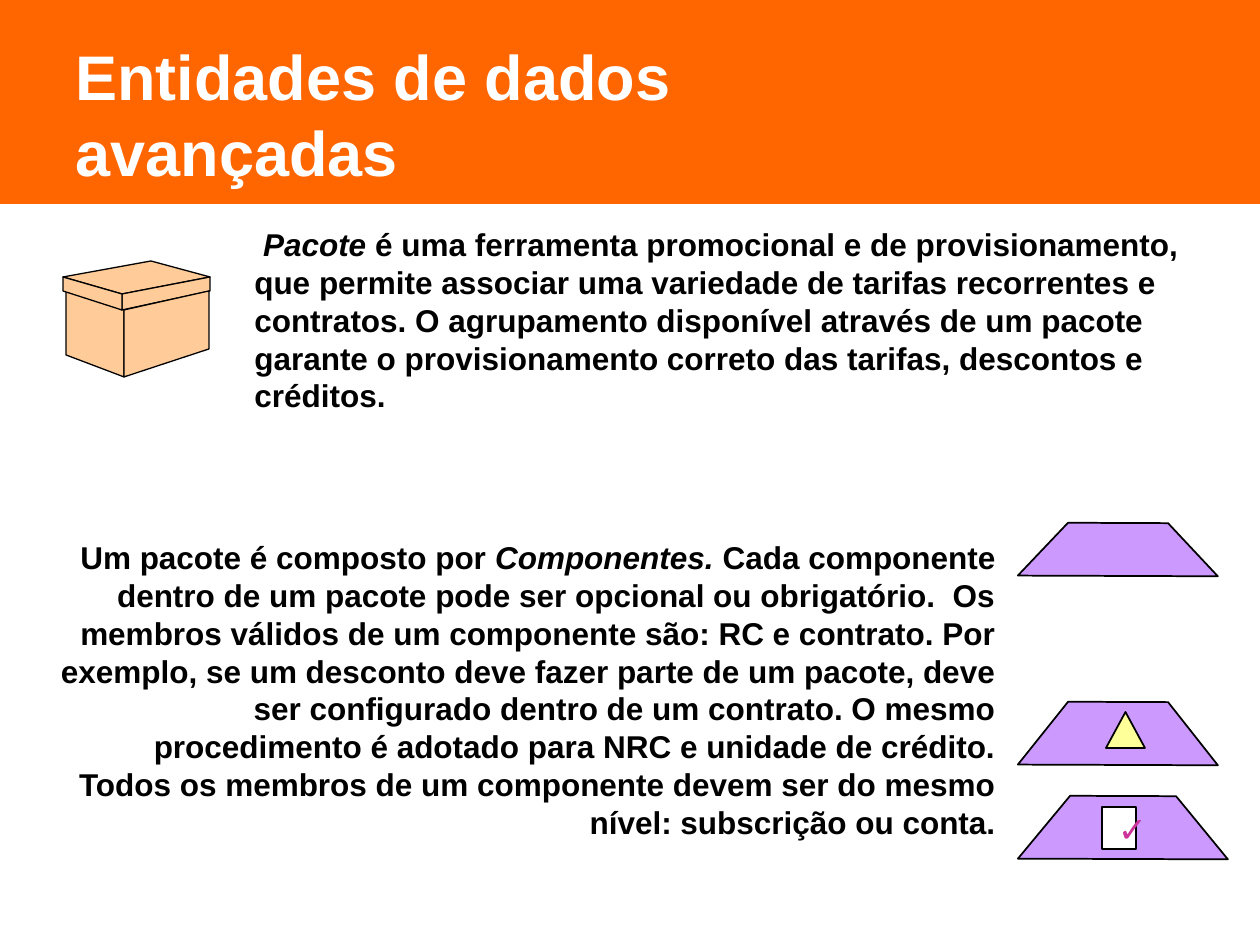
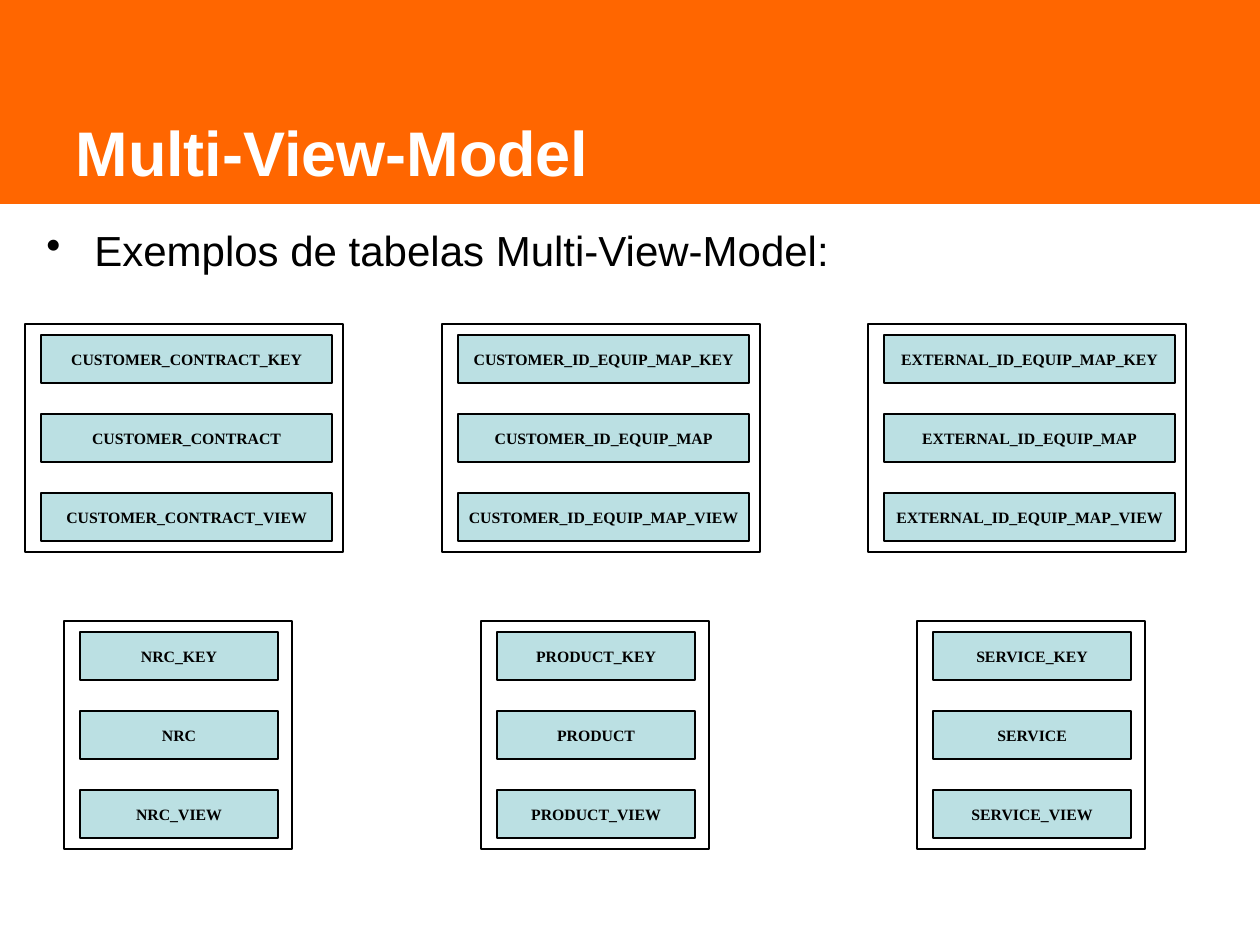
import pptx
import pptx.dml.color
import pptx.enum.shapes
import pptx.enum.text
import pptx.oxml
import pptx.oxml.ns
import pptx.util

SCALE = 914400 / 126
ORANGE, PEACH, LILAC, YELLOW = "FF6600", "FFCC99", "CC99FF", "FFFF99"
TEAL, PINK, BLACK, WHITE = "BBE0E3", "CC3399", "000000", "FFFFFF"
RECT = pptx.enum.shapes.MSO_SHAPE.RECTANGLE
PEAK = pptx.enum.shapes.MSO_SHAPE.ISOSCELES_TRIANGLE
ALIGN = pptx.enum.text.PP_ALIGN
ANCHOR = pptx.enum.text.MSO_ANCHOR
FIT = pptx.enum.text.MSO_AUTO_SIZE

TITLE = {"name": "Arial", "size": pptx.util.Pt(36), "bold": True}
BODY = {"name": "Arial", "size": pptx.util.Pt(18), "bold": True}
POINT = {"name": "Arial", "size": pptx.util.Pt(24), "bold": False}
CHECK = {"name": "Arial", "size": pptx.util.Pt(20), "bold": True}
LABEL = {"name": "Times New Roman", "size": pptx.util.Pt(9), "bold": True}

BOX = [
    [(66, 291), (66, 355), (124, 377), (124, 309)],
    [(210, 277), (151, 261), (63, 277), (122, 294)],
    [(122, 294), (122, 310), (210, 291), (210, 277)],
    [(63, 277), (63, 291), (122, 310), (122, 294)],
    [(209, 291), (209, 349), (124, 377), (124, 310)],
]
PACK = [[
    (" Pacote ", True),
    ("é uma ferramenta promocional e de provisionamento, que permite associar "
     "uma variedade de tarifas recorrentes e contratos. O agrupamento "
     "disponível através de um pacote garante o provisionamento correto das "
     "tarifas, descontos e créditos.", False),
]]
PARTS = [
    [
        ("Um pacote é composto por ", False),
        ("Componentes. ", True),
        ("Cada componente dentro de um pacote pode ser opcional ou "
         "obrigatório.  Os membros válidos de um componente são: RC e "
         "contrato. Por exemplo, se um desconto deve fazer parte de um pacote, "
         "deve ser configurado dentro de um contrato. O mesmo procedimento é "
         "adotado para NRC e unidade de crédito.", False),
    ],
    [("Todos os membros de um componente devem ser do mesmo nível: "
      "subscrição ou conta.", False)],
]
ROWS = [
    (324, 318, 291, [(25, "CUSTOMER_CONTRACT"), (442, "CUSTOMER_ID_EQUIP_MAP"),
                     (868, "EXTERNAL_ID_EQUIP_MAP")]),
    (621, 228, 198, [(64, "NRC"), (481, "PRODUCT"), (917, "SERVICE")]),
]


def px(*nums):
    """Turn pixel lengths into a list of EMU."""
    return [pptx.util.Emu(round(num * SCALE)) for num in nums]


def tint(code):
    """Turn a hex string into a colour."""
    return pptx.dml.color.RGBColor.from_string(code)


def put(item, vals):
    """Set each named value on an object."""
    for key, val in vals.items():
        setattr(item, key, val)


def paint(shape, fill=None, line=None, width=0.75):
    """Give a shape its fill and line, without a shadow."""
    shape.shadow.inherit = False
    if fill:
        shape.fill.solid()
        shape.fill.fore_color.rgb = tint(fill)
    else:
        shape.fill.background()
    if line:
        shape.line.color.rgb = tint(line)
        shape.line.width = pptx.util.Pt(width)
    else:
        shape.line.fill.background()
    return shape


def write(frame, paras, font, color=BLACK, align=ALIGN.LEFT):
    """Fill a text frame with paragraphs of (text, italic) runs."""
    for num, runs in enumerate(paras):
        para = frame.add_paragraph() if num else frame.paragraphs[0]
        para.alignment = align
        for text, slant in runs:
            for part, line in enumerate(text.split("\n")):
                if part:
                    para.add_line_break()
                run = para.add_run()
                run.text = line
                put(run.font, {**font, "italic": slant})
                run.font.color.rgb = tint(color)


def block(shapes, kind, area, fill=None, line=None, width=0.75):
    """Add a preset shape."""
    return paint(shapes.add_shape(kind, *px(*area)), fill, line, width)


def note(shapes, area, paras, font, **look):
    """Add a wrapped text box and return its frame."""
    frame = shapes.add_textbox(*px(*area)).text_frame
    frame.word_wrap = True
    write(frame, paras, font, **look)
    return frame


def poly(shapes, spots, fill, width):
    """Add a closed outline through the given spots."""
    pen = shapes.build_freeform(*spots[0], scale=SCALE)
    pen.add_line_segments(spots[1:], close=True)
    return paint(pen.convert_to_shape(), fill, BLACK, width)


def tray(shapes, top, wide, high):
    """Add a component tray, a quarter of its width cut at each corner."""
    left, cut = 1018, wide / 4
    spots = [(left, top + high), (left + cut, top),
             (left + wide - cut, top), (left + wide, top + high)]
    poly(shapes, spots, LILAC, 1).rotation = 0.2


def band(slide):
    """Put the orange band into the layout of a slide."""
    shape = block(slide.shapes, RECT, (0, 0, 1260, 204), ORANGE)
    slide.slide_layout.shapes.element.insert(2, shape.element)


def start(deck, text):
    """Add a slide with its formatted title."""
    slide = deck.slides.add_slide(deck.slide_layouts[5])
    head = slide.shapes.title
    put(head, dict(zip(("left", "top", "width", "height"),
                       px(63, 38, 1134, 157))))
    put(head.text_frame, {"vertical_anchor": ANCHOR.BOTTOM,
                          "word_wrap": True, "auto_size": FIT.NONE})
    write(head.text_frame, [[(text, False)]], TITLE, WHITE)
    return slide


def bullet(para):
    """Give a paragraph a hanging bullet and its spacing."""
    put(para, {"line_spacing": 0.9, "space_before": pptx.util.Pt(6)})
    props = para._p.get_or_add_pPr()
    gap = px(48)[0]
    props.set("marL", str(gap))
    props.set("indent", str(-gap))
    mark = pptx.oxml.parse_xml(
        '<a:buChar %s char="•"/>' % pptx.oxml.ns.nsdecls("a"))
    props.append(mark)


def panel(shapes, area, inner, name):
    """Add a framed stack of the key, base and view tables."""
    left, top = area[:2]
    for num, end in enumerate(("_KEY", "", "_VIEW")):
        spot = (left + 16, top + 11 + 79 * num, inner, 48)
        cell = block(shapes, RECT, spot, TEAL, BLACK)
        put(cell.text_frame, {"word_wrap": False,
                              "vertical_anchor": ANCHOR.MIDDLE})
        write(cell.text_frame, [[(name + end, False)]], LABEL,
              align=ALIGN.CENTER)
    block(shapes, RECT, area, line=BLACK)


def pack(deck):
    """Build the slide on packages and components."""
    slide = start(deck, "Entidades de dados \navançadas")
    band(slide)
    shapes = slide.shapes
    carton = shapes.add_group_shape().shapes
    for face in BOX:
        poly(carton, face, PEACH, 0)
    note(shapes, (242, 219, 998, 202), PACK, BODY)
    for tile in ((523, 200, 53), (702, 200, 63), (796, 210, 63)):
        tray(shapes, *tile)
    block(shapes, PEAK, (1106, 712, 39, 36), YELLOW, BLACK, 1)
    form = shapes.add_group_shape().shapes
    block(form, RECT, (1102, 807, 34, 42), WHITE, BLACK, 1)
    tick = note(form, (1118, 807, 18, 42), [[("✓", False)]], CHECK, color=PINK)
    put(tick, dict.fromkeys(("margin_left", "margin_right",
                             "margin_top", "margin_bottom"), 0))
    note(shapes, (32, 532, 976, 315), PARTS, BODY, align=ALIGN.RIGHT)


def views(deck):
    """Build the slide of sample tables."""
    shapes = start(deck, "Multi-View-Model").shapes
    frame = note(shapes, (34, 224, 1184, 59),
                 [[("Exemplos de tabelas Multi-View-Model:", False)]], POINT)
    bullet(frame.paragraphs[0])
    for top, wide, inner, items in ROWS:
        for left, name in items:
            panel(shapes, (left, top, wide, 228), inner, name)


def main():
    """Build and save the deck."""
    deck = pptx.Presentation()
    put(deck, dict(zip(("slide_width", "slide_height"), px(1260, 945))))
    pack(deck)
    views(deck)
    deck.save("out.pptx")


if __name__ == "__main__":
    main()
